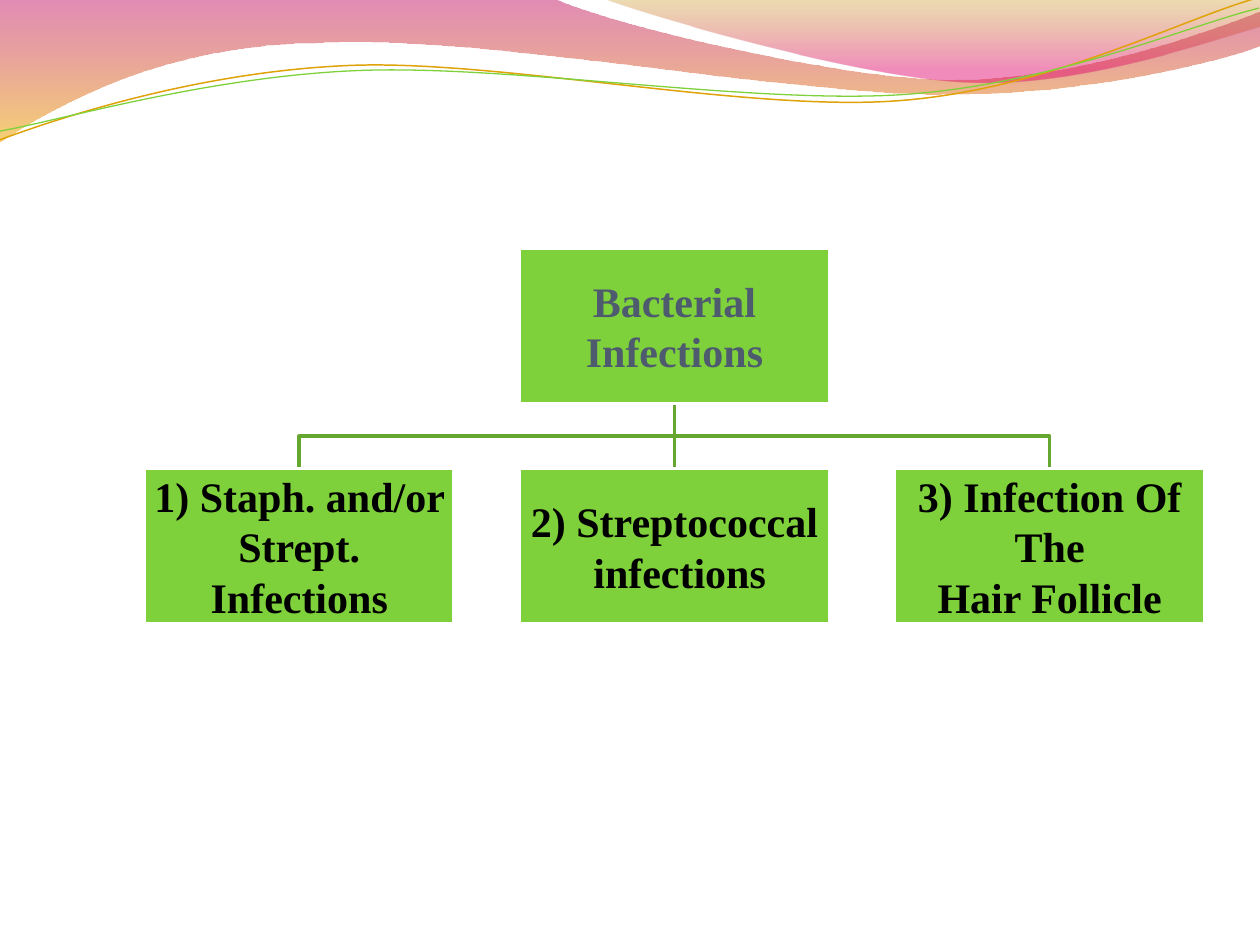
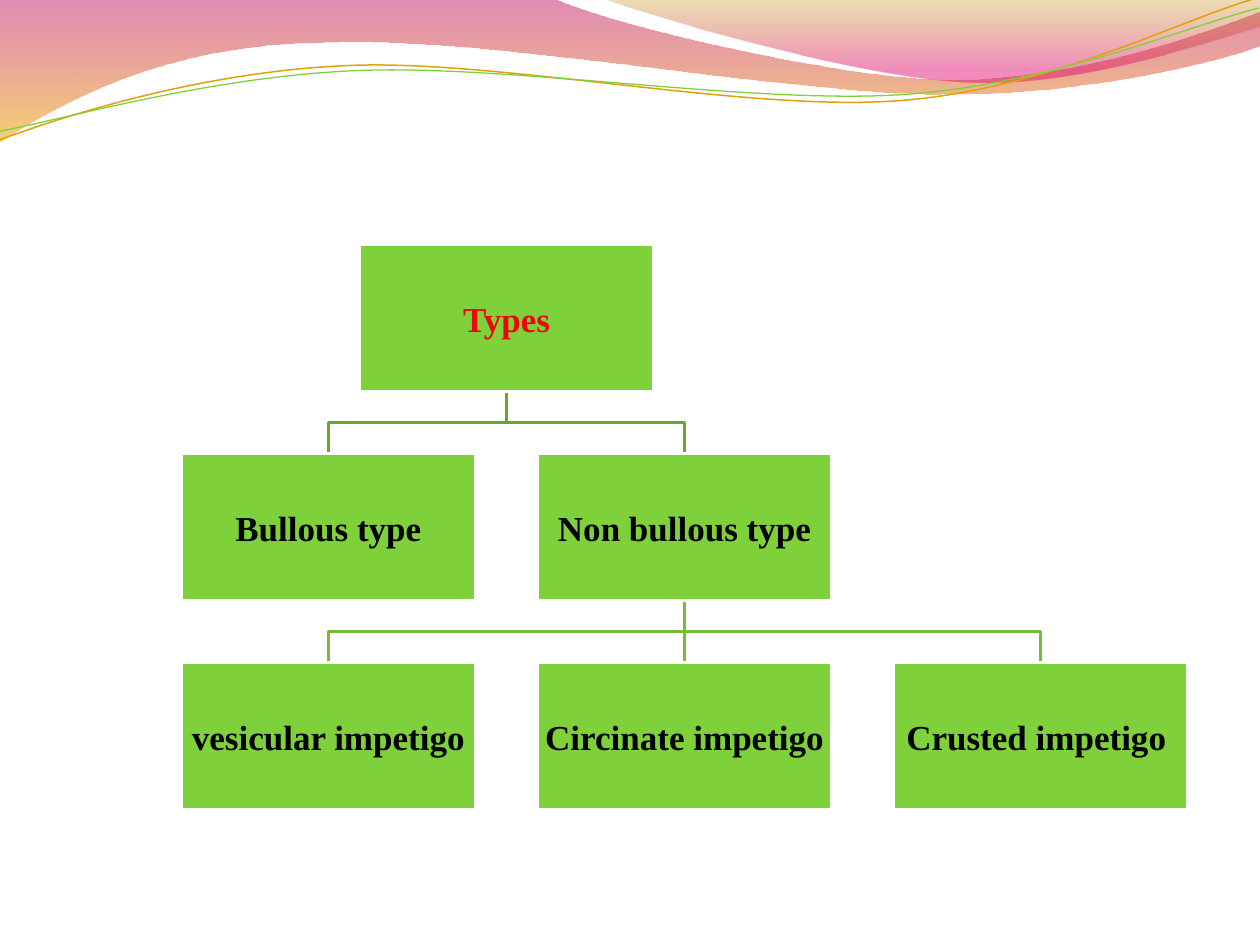
from dataclasses import dataclass

from lxml import etree
from pptx import Presentation
from pptx.dml.color import RGBColor
from pptx.enum.shapes import MSO_SHAPE
from pptx.enum.text import MSO_ANCHOR, PP_ALIGN
from pptx.oxml.ns import qn
from pptx.util import Pt

RECT = MSO_SHAPE.RECTANGLE
MIDDLE = MSO_ANCHOR.MIDDLE
CENTER = PP_ALIGN.CENTER


@dataclass(frozen=True)
class Theme:
    font: str = "Times New Roman"
    node: str = "7FD13B"
    border: str = "FFFFFF"
    text: str = "000000"
    slate: str = "4E5B6F"
    red: str = "EE080D"
    link_1: str = "66A72F"
    link_2: str = "73BE36"
    gold: str = "E0A209"
    large: int = 24
    medium: int = 20
    node_line: float = 2


T = Theme()

# Header outlines: box, start and steps, all relative to the box.
# A two-number step is a line, a six-number step is a cubic curve.
# Gradient stops are (position, colour, opacity in percent).
BANDS = [
    ((-0.7, -0.7, 721.4, 82.1), (0.7, 0),
     [(317.5, 0), (343.4, 12.9, 478.8, 46.1, 546.5, 46.1),
      (614.9, 46.1, 690.5, 19.4, 720.7, 7.2), (721.4, 26.6),
      (708.5, 32.4, 627.1, 55.4, 537.8, 54.7),
      (448.5, 54.7, 275.7, 20.9, 185.7, 25.2),
      (93.6, 25.9, 33.8, 60.5, 0, 82.1)],
     [(0, "BD0059", 45), (1, "F0AB00", 55)]),
    ((344.9, -0.7, 375.1, 50.4), (0, 0),
     [(21.6, 8.6, 146.1, 45.3, 208.8, 47.5),
      (271.4, 50.4, 347, 23.7, 375.1, 15.8), (375.1, 0.7)],
     [(0, "C38B00", 30), (0.8, "E1006B", 45)]),
]
WAVE_ROTATION = 357.3
WAVES = [
    ((-1.4, 15.8, 721.4, 51.1), (0, 47.1),
     [(35.2, 35.9, 115.5, 13.6, 201.2, 14.1),
      (286.2, 14.5, 427.3, 51.5, 513.9, 49),
      (600.5, 46.6, 677.9, 9.9, 721.4, 0)],
     T.gold, 0.85),
    ((-1.4, 21.6, 722.2, 41.8), (0.3, 36.3),
     [(34.3, 32.1, 119.7, 10.9, 205.5, 11.4),
      (292, 11.8, 430.3, 41.5, 516.9, 39.8),
      (602.8, 38, 679.8, 8.5, 722.2, 0)],
     T.node, 0.75),
]

# Charts: nodes are (column, row, paragraphs, colour); links are (parent, child, colour).
INFECTIONS = dict(
    left=82.4, top=142, width=177.2, size=T.large,
    nodes=[
        (1, 0, ["Bacterial Infections"], T.slate),
        (0, 1, ["1) Staph. and/or Strept.", "Infections"], T.text),
        (1, 1, ["2) Streptococcal", " infections"], T.text),
        (2, 1, ["3) Infection Of The", "Hair Follicle"], T.text),
    ],
    links=[(0, 3, T.link_1), (0, 2, T.link_1), (0, 1, T.link_1)])
TYPES = dict(
    left=103.6, top=139.7, width=168.2, size=T.medium,
    nodes=[
        (0.5, 0, ["Types"], T.red),
        (0, 1, ["Bullous type"], T.text),
        (1, 1, ["Non bullous type"], T.text),
        (0, 2, ["vesicular impetigo"], T.text),
        (1, 2, ["Circinate impetigo"], T.text),
        (2, 2, ["Crusted impetigo "], T.text),
    ],
    links=[(2, 5, T.link_2), (2, 4, T.link_2), (2, 3, T.link_2),
           (0, 2, T.link_1), (0, 1, T.link_1)])


def set_line(s, color, width):
    s.line.color.rgb = RGBColor.from_string(color)
    s.line.width = Pt(width)


def add_outline(slide, box, start, steps, close=False):
    """Add a freeform that fills the box, then give it lines and curves."""
    x, y, w, h = box
    builder = slide.shapes.build_freeform(Pt(x), Pt(y))
    builder.add_line_segments([(Pt(x + w), Pt(y)), (Pt(x + w), Pt(y + h)),
                               (Pt(x), Pt(y + h))])
    s = builder.convert_to_shape()
    s.shadow.inherit = False
    outline = next(s._element.iter(qn("a:path")))
    for child in list(outline):
        outline.remove(child)
    for i, step in enumerate([start, *steps]):
        tag = "cubicBezTo" if len(step) == 6 else "lnTo" if i else "moveTo"
        command = etree.SubElement(outline, qn(f"a:{tag}"))
        for px, py in zip(step[::2], step[1::2]):
            etree.SubElement(command, qn("a:pt"), x=str(int(Pt(px))), y=str(int(Pt(py))))
    if close:
        etree.SubElement(outline, qn("a:close"))
    return s


def add_open_line(slide, box, start, steps, color, width):
    s = add_outline(slide, box, start, steps)
    s.fill.background()
    set_line(s, color, width)
    return s


def add_header(slide):
    # Translucent gradient bands
    for box, start, steps, stops in BANDS:
        s = add_outline(slide, box, start, steps, close=True)
        s.line.fill.background()
        s.fill.gradient()
        s.fill.gradient_angle = 270
        for stop, (position, color, _) in zip(s.fill.gradient_stops, stops):
            stop.position = position
            stop.color.rgb = RGBColor.from_string(color)
        colors = list(s._element.spPr.iter(qn("a:srgbClr")))
        for clr, (_, _, opacity) in zip(colors, stops):
            etree.SubElement(clr, qn("a:alpha"), val=str(opacity * 1000))
    # Thin waves
    for wave in WAVES:
        add_open_line(slide, *wave).rotation = WAVE_ROTATION


def add_link(slide, x1, y1, x2, y2, color):
    h = y2 - y1
    # A straight drop keeps a narrow box around it
    pad = 0 if abs(x2 - x1) > 1 else 3.6
    x = min(x1, x2) - pad
    box = (x, y1, abs(x2 - x1) + 2 * pad, h)
    start, end = (x1 - x, 0), (x2 - x, h)
    bends = [] if pad else [(x1 - x, h / 2), (x2 - x, h / 2)]
    add_open_line(slide, box, start, [*bends, end], color, T.node_line)


def add_node(slide, x, y, w, h, paragraphs, size, color):
    s = slide.shapes.add_shape(RECT, Pt(x), Pt(y), Pt(w), Pt(h))
    s.shadow.inherit = False
    s.fill.solid()
    s.fill.fore_color.rgb = RGBColor.from_string(T.node)
    set_line(s, T.border, T.node_line)
    tf = s.text_frame
    inset = Pt(1)
    frame = dict(word_wrap=True, vertical_anchor=MIDDLE, margin_left=inset,
                 margin_right=inset, margin_top=inset, margin_bottom=inset)
    for name, value in frame.items():
        setattr(tf, name, value)
    for i, text in enumerate(paragraphs):
        p = tf.add_paragraph() if i else tf.paragraphs[0]
        p.alignment = CENTER
        r = p.add_run()
        r.text = text
        for name, value in dict(name=T.font, size=Pt(size), bold=True).items():
            setattr(r.font, name, value)
        r.font.color.rgb = RGBColor.from_string(color)


def add_org_chart(slide, left, top, width, size, nodes, links):
    """Nodes are half as high as wide; gaps are 21% of the width."""
    height, gap = width * 0.5, width * 0.21
    corners = [(left + col * (width + gap), top + row * (height + gap))
               for col, row, _, _ in nodes]
    # Links lie behind the nodes
    for parent, child, color in links:
        (px, py), (cx, cy) = corners[parent], corners[child]
        add_link(slide, px + width / 2, py + height, cx + width / 2, cy, color)
    for (x, y), (_, _, paragraphs, color) in zip(corners, nodes):
        add_node(slide, x, y, width, height, paragraphs, size, color)


def main():
    prs = Presentation()
    prs.slide_width, prs.slide_height = Pt(720), Pt(540)
    for chart in (INFECTIONS, TYPES):
        slide = prs.slides.add_slide(prs.slide_layouts[6])
        add_header(slide)
        add_org_chart(slide, **chart)
    prs.save("out.pptx")


if __name__ == "__main__":
    main()
